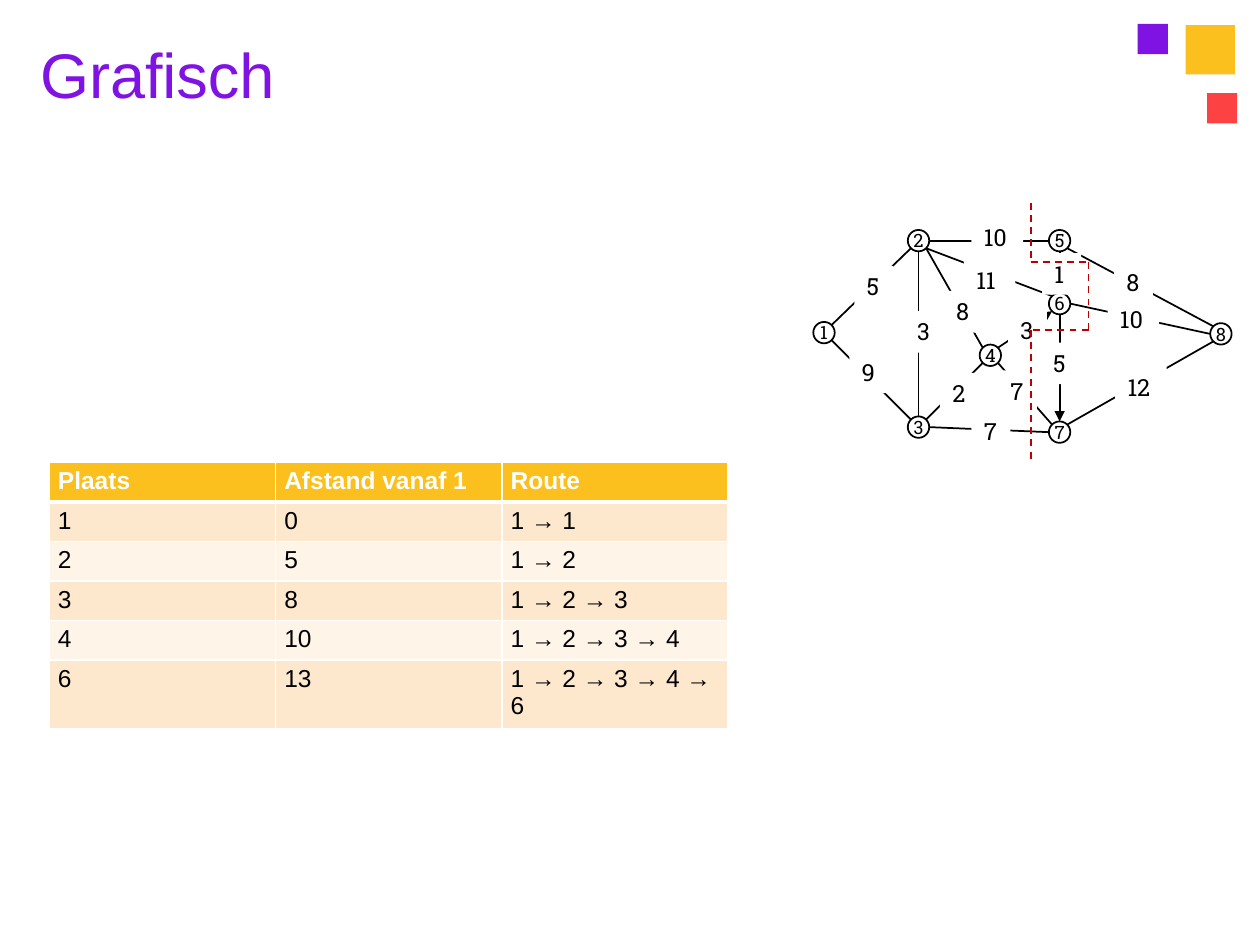
from math import atan2, cos, pi, sin

from lxml import etree
from pptx import Presentation
from pptx.dml.color import RGBColor
from pptx.enum.dml import MSO_LINE
from pptx.enum.shapes import MSO_CONNECTOR, MSO_SHAPE
from pptx.enum.text import MSO_ANCHOR, MSO_AUTO_SIZE, PP_ALIGN
from pptx.oxml.ns import qn
from pptx.util import Inches, Pt

RECT, OVAL = MSO_SHAPE.RECTANGLE, MSO_SHAPE.OVAL
STRAIGHT, DASH = MSO_CONNECTOR.STRAIGHT, MSO_LINE.DASH
MIDDLE, CENTER, FIT = MSO_ANCHOR.MIDDLE, PP_ALIGN.CENTER, MSO_AUTO_SIZE.SHAPE_TO_FIT_TEXT

PURPLE = RGBColor(0x7E, 0x13, 0xE3)
CORAL = RGBColor(0xFD, 0x42, 0x44)
YELLOW = RGBColor(0xFB, 0xC0, 0x1E)
CUT_RED = RGBColor(0xBC, 0x00, 0x02)
BLACK = RGBColor(0, 0, 0)
WHITE = RGBColor(0xFF, 0xFF, 0xFF)
BANDS = (RGBColor(0xFE, 0xF4, 0xE8), RGBColor(0xFD, 0xE8, 0xCD))

# Content: lengths in inches
TITLE = "Grafisch"
SQUARES = [(9.03, 0.19, 0.24, PURPLE), (9.58, 0.74, 0.24, CORAL), (9.41, 0.2, 0.39, YELLOW)]
HEADER = ["Plaats", "Afstand vanaf 1", "Route"]
ROUTES = [  # distance from 1, places visited
    (0, [1, 1]),
    (5, [1, 2]),
    (8, [1, 2, 3]),
    (10, [1, 2, 3, 4]),
    (13, [1, 2, 3, 4, 6]),
]
NODE_SIZE = 0.17
NODES = {  # centre of each place
    1: (6.54, 2.64), 2: (7.29, 1.91), 3: (7.29, 3.39), 4: (7.86, 2.82),
    5: (8.41, 1.91), 6: (8.41, 2.41), 7: (8.41, 3.43), 8: (9.69, 2.65),
}
EDGES = [  # from, to, weight, left and top of its label, arrow
    (5, 8, 8, 8.84, 2.08, False),
    (6, 8, 10, 8.79, 2.37, False),
    (7, 8, 12, 8.85, 2.91, False),
    (6, 7, 5, 8.26, 2.72, True),
    (3, 7, 7, 7.71, 3.26, False),
    (4, 7, 7, 7.92, 2.94, False),
    (3, 4, 2, 7.46, 2.96, False),
    (2, 4, 8, 7.49, 2.31, False),
    (2, 6, 11, 7.65, 2.06, False),
    (2, 5, 10, 7.71, 1.72, False),
    (1, 2, 5, 6.78, 2.11, False),
    (1, 3, 9, 6.74, 2.79, False),
    (2, 3, 3, 7.18, 2.47, False),
    (4, 6, 3, 8, 2.46, True),
    (5, 6, 1, 8.27, 2.01, False),
]
CUT = [(8.18, 1.61), (8.18, 2.08), (8.64, 2.08), (8.64, 2.62), (8.18, 2.62), (8.18, 3.67)]

prs = Presentation()
prs.slide_width, prs.slide_height = Inches(10), Inches(7.5)
s = prs.slides.add_slide(prs.slide_layouts[6])


def write(tf, text, size, color, font="Arial", bold=False, **frame):
    for name, value in frame.items():
        setattr(tf, name, value)
    p = tf.paragraphs[0]
    r = p.add_run()
    r.text = str(text)
    for name, value in {"size": Pt(size), "name": font, "bold": bold}.items():
        setattr(r.font, name, value)
    r.font.color.rgb = color
    return p


def add_box(kind, x, y, w, h, fill=None, line=None):
    sp = s.shapes.add_shape(kind, *map(Inches, (x, y, w, h)))
    sp.shadow.inherit = False
    for part, color in ((sp.fill, fill), (sp.line.fill, line)):
        if color is None:
            part.background()
        else:
            part.solid()
            part.fore_color.rgb = color
    sp.line.width = Pt(1)
    return sp


def add_line(start, end, color, dash=None, arrow=False):
    c = s.shapes.add_connector(STRAIGHT, *map(Inches, (*start, *end)))
    c.line.color.rgb, c.line.width = color, Pt(1)
    if dash:
        c.line.dash_style = dash
    if arrow:
        etree.SubElement(c.line._get_or_add_ln(), qn("a:tailEnd"), type="triangle")
    etree.SubElement(c._element.spPr, qn("a:effectLst"))


def rim_point(a, b):
    """Point on the rim of node a, at the multiple of 45° nearest to node b."""
    (ax, ay), (bx, by) = NODES[a], NODES[b]
    angle = round(atan2(by - ay, bx - ax) / (pi / 4)) * pi / 4
    return ax + NODE_SIZE / 2 * cos(angle), ay + NODE_SIZE / 2 * sin(angle)


def set_borders(cell, bottom):
    tcPr = cell._tc.get_or_add_tcPr()
    for i, (side, width) in enumerate((("L", 1), ("R", 1), ("T", 1), ("B", bottom))):
        ln = etree.Element(qn("a:ln" + side), w=str(Pt(width)))
        fill = etree.SubElement(ln, qn("a:solidFill"))
        etree.SubElement(fill, qn("a:srgbClr"), val=str(WHITE))
        tcPr.insert(i, ln)


# Corner squares and title
for x, y, size, color in SQUARES:
    add_box(RECT, x, y, size, size, fill=color)
title = s.shapes.add_textbox(*map(Inches, (0.22, 0.2, 8.26, 0.84)))
write(title.text_frame, TITLE, 36, PURPLE, word_wrap=True,
      vertical_anchor=MIDDLE).line_spacing = 0.9

# Graph: nodes, edges, then weights on top
for number, (x, y) in NODES.items():
    node = add_box(OVAL, x - NODE_SIZE / 2, y - NODE_SIZE / 2, NODE_SIZE, NODE_SIZE, line=BLACK)
    write(node.text_frame, number, 10.5, BLACK, "Roboto Slab", word_wrap=False,
          vertical_anchor=MIDDLE, margin_left=0, margin_right=0, margin_top=0,
          margin_bottom=0).alignment = CENTER
for a, b, weight, x, y, arrow in EDGES:
    add_line(rim_point(a, b), rim_point(b, a), BLACK, arrow=arrow)
for a, b, weight, x, y, arrow in EDGES:
    label = add_box(RECT, x, y, 0.41 if weight > 9 else 0.31, 0.33, fill=WHITE)
    write(label.text_frame, weight, 13.5, BLACK, "Roboto Slab", word_wrap=False,
          auto_size=FIT, vertical_anchor=MSO_ANCHOR.TOP).alignment = PP_ALIGN.LEFT

# Dashed cut line
for start, end in zip(CUT, CUT[1:]):
    add_line(start, end, CUT_RED, dash=DASH)

# Table of shortest routes
rows = [HEADER] + [(places[-1], distance, " → ".join(map(str, places)))
                   for distance, places in ROUTES]
table = s.shapes.add_table(len(rows), len(HEADER),
                           *map(Inches, (0.39, 3.67, 5.39, 0.3 * len(rows)))).table
for i, row in enumerate(rows):
    for j, text in enumerate(row):
        cell = table.cell(i, j)
        cell.margin_left = cell.margin_right = Inches(0.07)
        cell.margin_top = cell.margin_bottom = Inches(0.04)
        cell.fill.solid()
        cell.fill.fore_color.rgb = BANDS[i % 2] if i else YELLOW
        write(cell.text_frame, text, 14, BLACK if i else WHITE, bold=i == 0)
        set_borders(cell, 1 if i else 3)

prs.save("out.pptx")
